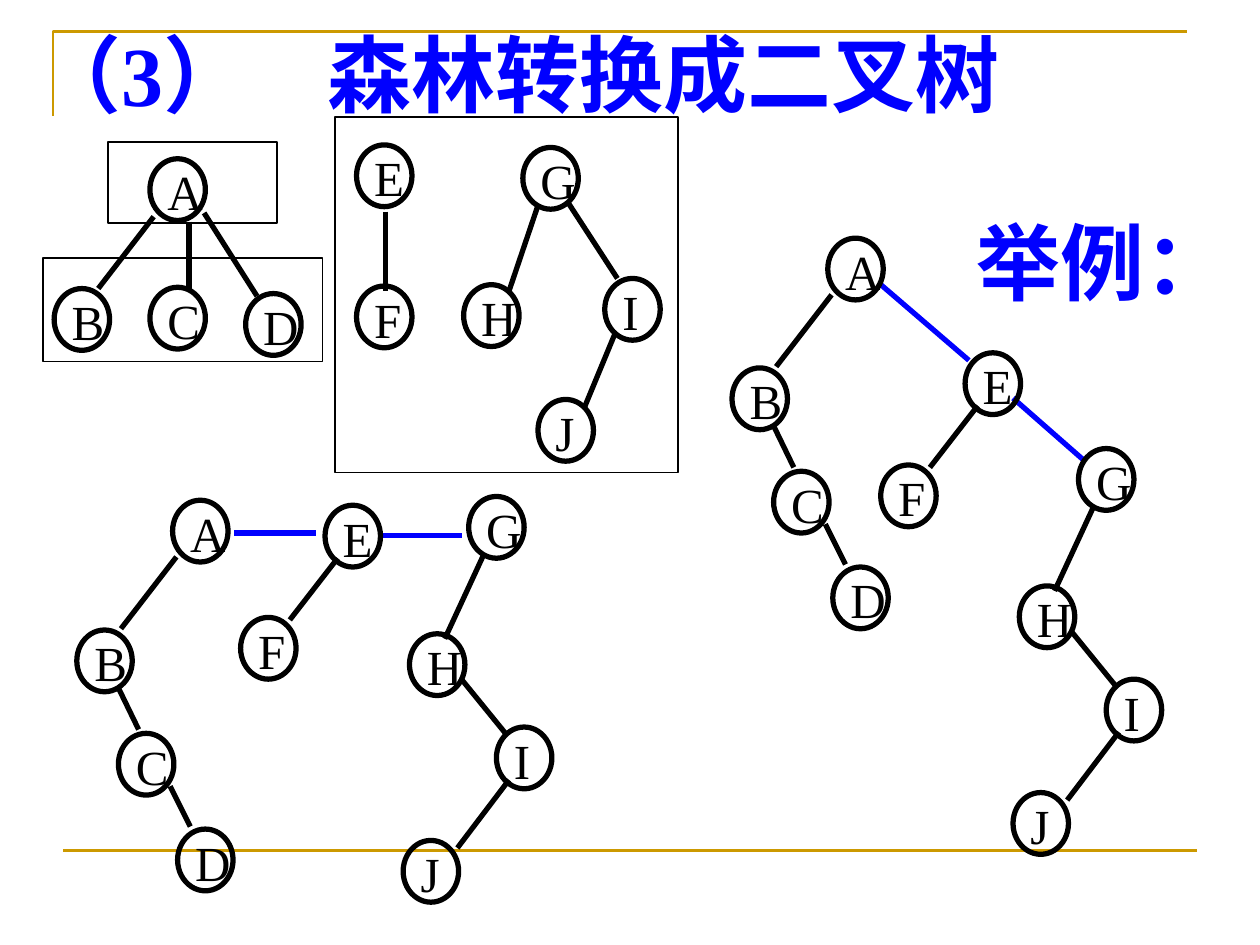
from dataclasses import dataclass

from lxml import etree
from pptx import Presentation
from pptx.dml.color import RGBColor
from pptx.enum.shapes import MSO_CONNECTOR, MSO_SHAPE
from pptx.enum.text import MSO_ANCHOR
from pptx.oxml.ns import qn
from pptx.util import Emu, Inches, Pt

STRAIGHT = MSO_CONNECTOR.STRAIGHT
OVAL, RECTANGLE = MSO_SHAPE.OVAL, MSO_SHAPE.RECTANGLE
TOP, BOTTOM = MSO_ANCHOR.TOP, MSO_ANCHOR.BOTTOM


@dataclass(frozen=True)
class Theme:
    font: str = "Times New Roman"
    ink: RGBColor = RGBColor(0, 0, 0)
    blue: RGBColor = RGBColor(0, 0, 255)
    gold: RGBColor = RGBColor(0xCC, 0x99, 0)
    heading_size: int = 48
    node_size: int = 28
    branch_width: float = 3
    frame_width: float = 1
    rule_width: float = 1.5


theme = Theme()

deck = Presentation()
deck.slide_width, deck.slide_height = Inches(10), Inches(7.5)
page = deck.slides.add_slide(deck.slide_layouts[6])

# The page is a grid of 100 columns by 75 rows of square cells.
CELL = deck.slide_width // 100


def cells(*counts):
    return [Emu(round(count * CELL)) for count in counts]


# Each branch: nodes and edges, measured from the corner of its root node.
CHILDREN_OF_A = (
    {"A": (0, 0), "B": (-7.6, 10.3), "C": (0, 10.2), "D": (7.6, 10.7)},
    [(0.3, 4.6, -4.1, 10.3), (3.1, 5, 3.1, 10.5), (4.3, 4.3, 8.5, 10.9)],
)
CHILDREN_OF_E = ({"E": (0, 0), "F": (0, 11.2)}, [(2.3, 5.3, 2.3, 11.6)])
CHILDREN_OF_G = (
    {"G": (0, 0), "H": (-4.7, 10.9), "I": (6.5, 10.4), "J": (1.2, 20)},
    [(1.2, 4.6, -1.1, 11.4), (3.6, 4.4, 7.5, 10.4), (7.3, 14.8, 4.9, 20.6)],
)
BINARY_A = (
    {"A": (0, 0), "B": (-7.6, 10.3), "C": (-4.3, 18.5), "D": (0.4, 26.1)},
    [(0.3, 4.5, -4.1, 10.2), (-4.3, 14.9, -2.7, 18.2), (-0.2, 22.7, 1.4, 25.9)],
)
BINARY_E = ({"E": (0, 0), "F": (-6.7, 8.9)}, [(1, 4.2, -2.8, 9.1)])
BINARY_G = (
    {"G": (0, 0), "H": (-4.7, 10.9), "I": (2.2, 18.3), "J": (-5.2, 27.3)},
    [(1.2, 4.6, -1.9, 11.3), (-0.5, 14.6, 3, 18.9), (3.2, 22.5, -0.9, 27.9)],
)
BRANCHES = [
    (11.9, 12.6, CHILDREN_OF_A),
    (28.3, 11.5, CHILDREN_OF_E),
    (41.5, 11.7, CHILDREN_OF_G),
    (13.7, 39.7, BINARY_A),
    (25.8, 40.1, BINARY_E),
    (37.2, 39.4, BINARY_G),
    (65.7, 18.9, BINARY_A),
    (76.6, 28, BINARY_E),
    (85.6, 35.6, BINARY_G),
]
ROOT_LINKS = [
    (18.6, 42.3, 25.1, 42.3),
    (30.2, 42.5, 36.7, 42.5),
    (69.8, 22.5, 76.9, 28.6),
    (80.4, 31.6, 86.1, 36.6),
]
FRAMES = [(8.6, 11.3, 13.4, 6.4), (3.4, 20.5, 22.2, 8.2), (26.6, 9.3, 27.2, 28.2)]
NODE_WIDTH, NODE_HEIGHT = 4.4, 4.9
HEADING_TAB = 23

outlines = [(RECTANGLE, frame, theme.frame_width) for frame in FRAMES]
lines = [((5, 67.5, 95, 67.5), theme.gold, theme.rule_width)]
lines += [(link, theme.blue, theme.branch_width) for link in ROOT_LINKS]
texts = [
    ("（3）\t森林转换成二叉树", (2, 1.3, 82.7, 17), theme.heading_size, theme.blue, TOP),
    ("举例：", (76.5, 16.2, 23.5, 9), theme.heading_size, theme.blue, TOP),
]
for left, top, (nodes, edges) in BRANCHES:
    for name, (across, down) in nodes.items():
        x, y = left + across, top + down
        outlines.append((OVAL, (x, y, NODE_WIDTH, NODE_HEIGHT), theme.branch_width))
        label_area = (x + 0.4, y - 0.3, 7.2, 5.7)
        texts.append((name, label_area, theme.node_size, theme.ink, BOTTOM))
    for x1, y1, x2, y2 in edges:
        ends = (left + x1, top + y1, left + x2, top + y2)
        lines.append((ends, theme.ink, theme.branch_width))

# Corner rule above the heading
corner_start, *corner_rest = [cells(4.2, 9.2), cells(4.2, 2.5), cells(94.2, 2.5)]
builder = page.shapes.build_freeform(*corner_start)
builder.add_line_segments(corner_rest, close=False)
corner = builder.convert_to_shape()
corner.shadow.inherit = False
corner.fill.background()
corner.line.color.rgb = theme.gold
corner.line.width = Pt(theme.rule_width)

for ends, color, width in lines:
    line = page.shapes.add_connector(STRAIGHT, *cells(*ends))
    line.line.color.rgb = color
    line.line.width = Pt(width)
    etree.SubElement(line._element.spPr, qn("a:effectLst"))

for kind, area, width in outlines:
    outline = page.shapes.add_shape(kind, *cells(*area))
    outline.shadow.inherit = False
    outline.fill.background()
    outline.line.color.rgb = theme.ink
    outline.line.width = Pt(width)

for text, area, size, color, anchor in texts:
    box = page.shapes.add_textbox(*cells(*area))
    frame = box.text_frame
    frame.word_wrap = True
    frame.vertical_anchor = anchor
    para = frame.paragraphs[0]
    para.text = text
    if "\t" in text:
        tabs = etree.SubElement(para._p.get_or_add_pPr(), qn("a:tabLst"))
        etree.SubElement(tabs, qn("a:tab"), pos=str(HEADING_TAB * CELL), algn="l")
    para.font.name = theme.font
    para.font.size = Pt(size)
    para.font.bold = size == theme.heading_size
    para.font.color.rgb = color

deck.save("out.pptx")
